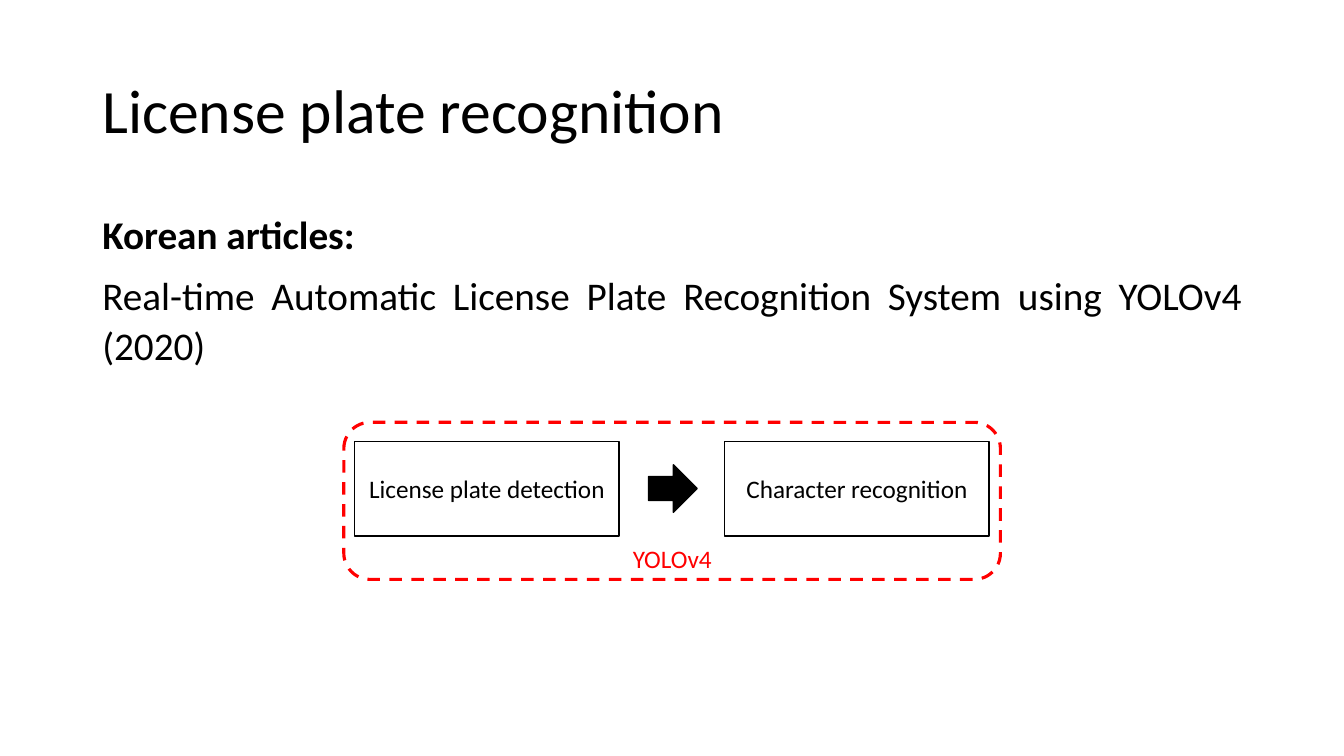
from pptx import Presentation
from pptx.dml.color import RGBColor
from pptx.enum.dml import MSO_LINE
from pptx.enum.shapes import MSO_SHAPE
from pptx.enum.text import MSO_ANCHOR, PP_ALIGN
from pptx.util import Pt

BLACK = RGBColor(0, 0, 0)
RED = RGBColor(255, 0, 0)


def add_outlined_shape(kind, left, top, width, height, color, line_width):
    """Add a shape with a coloured outline, no fill and no shadow."""
    shape = slide.shapes.add_shape(kind, Pt(left), Pt(top), Pt(width), Pt(height))
    shape.shadow.inherit = False
    shape.fill.background()
    shape.line.color.rgb = color
    shape.line.width = Pt(line_width)
    return shape


def write_text(shape, lines, size, color, alignment, anchor):
    """Put one paragraph per line into a shape and format them alike."""
    text_frame = shape.text_frame
    text_frame.word_wrap = True
    text_frame.vertical_anchor = anchor
    text_frame.text = "\n".join(lines)
    for paragraph in text_frame.paragraphs:
        paragraph.alignment = alignment
        font = paragraph.runs[0].font
        font.name = "Calibri"
        font.size = Pt(size)
        font.color.rgb = color
    return text_frame.paragraphs


presentation = Presentation()
presentation.slide_width = Pt(960)
presentation.slide_height = Pt(540)
slide = presentation.slides.add_slide(presentation.slide_layouts[6])

# Title and article
title = slide.shapes.add_textbox(Pt(66), Pt(28.75), Pt(828), Pt(104.4))
title_paragraphs = write_text(title, ["License plate recognition"], 44, BLACK,
                              PP_ALIGN.LEFT, MSO_ANCHOR.MIDDLE)
title_paragraphs[0].line_spacing = 0.9

body = slide.shapes.add_textbox(Pt(66), Pt(144), Pt(828), Pt(342.7))
article_lines = [
    "Korean articles:",
    "Real-time Automatic License Plate Recognition System using YOLOv4 (2020)",
]
body_paragraphs = write_text(body, article_lines, 28, BLACK,
                             PP_ALIGN.JUSTIFY, MSO_ANCHOR.TOP)
for paragraph in body_paragraphs:
    paragraph.line_spacing = 1.07
    paragraph.space_after = Pt(8)
body_paragraphs[0].runs[0].font.bold = True

# Two recognition steps joined by an arrow
for step, left in (("License plate detection", 253.4), ("Character recognition", 517.7)):
    box = add_outlined_shape(MSO_SHAPE.RECTANGLE, left, 315.4, 188.9, 67.5, BLACK, 1)
    write_text(box, [step], 18, BLACK, PP_ALIGN.CENTER, MSO_ANCHOR.MIDDLE)

arrow = add_outlined_shape(MSO_SHAPE.RIGHT_ARROW, 463.2, 332, 34.8, 34, BLACK, 1)
arrow.fill.solid()
arrow.fill.fore_color.rgb = BLACK

# Frame naming the network used for both steps
frame = add_outlined_shape(MSO_SHAPE.ROUNDED_RECTANGLE, 245.6, 301.7, 469, 112.2, RED, 2.25)
frame.line.dash_style = MSO_LINE.DASH

label = slide.shapes.add_textbox(Pt(424.8), Pt(384.6), Pt(110.8), Pt(29))
write_text(label, ["YOLOv4"], 18, RED, PP_ALIGN.CENTER, MSO_ANCHOR.TOP)

presentation.save("out.pptx")
